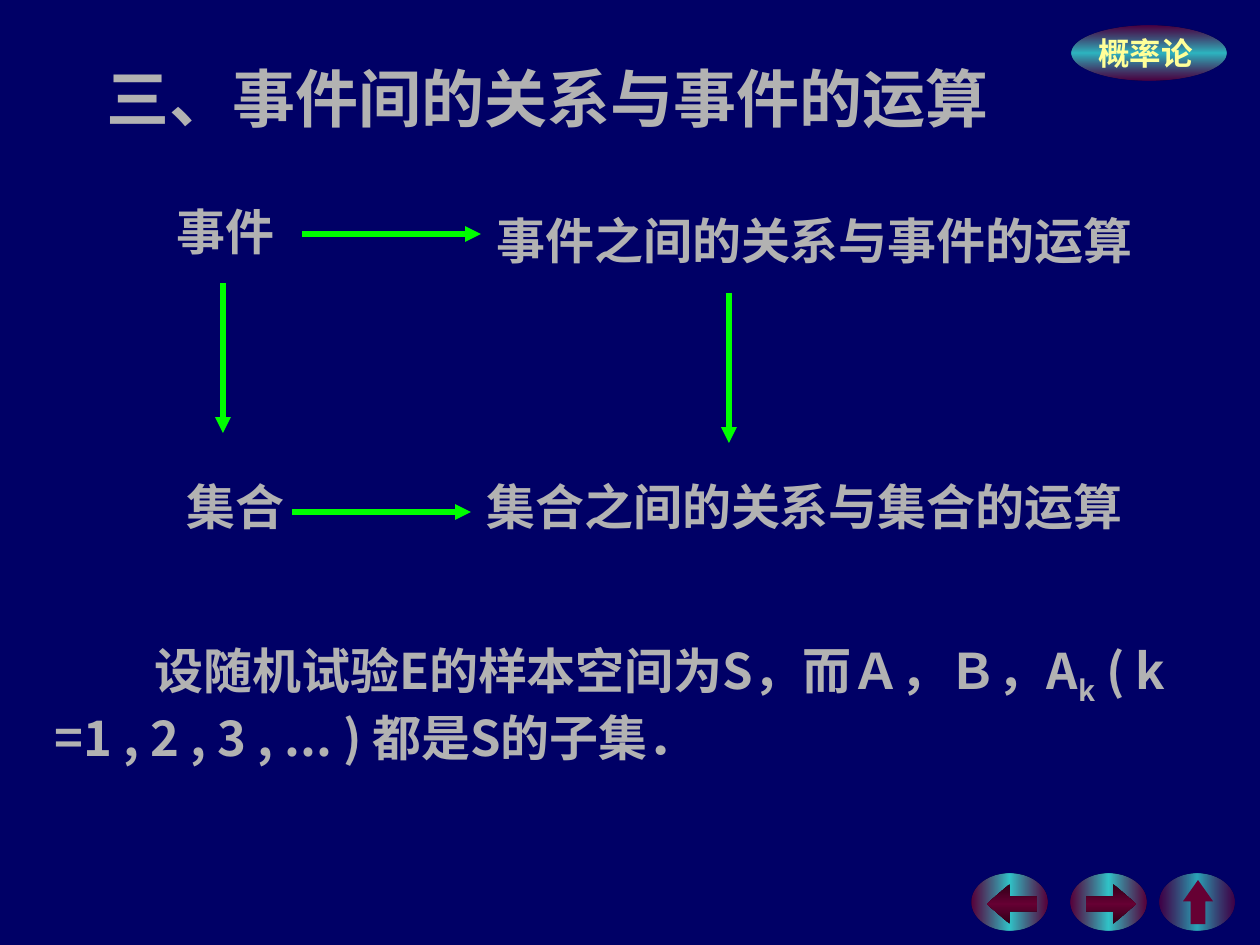
from pptx import Presentation
from pptx.dml.color import RGBColor
from pptx.enum.shapes import MSO_CONNECTOR, MSO_SHAPE
from pptx.enum.text import MSO_ANCHOR, MSO_AUTO_SIZE, PP_ALIGN
from pptx.oxml import parse_xml
from pptx.oxml.ns import nsdecls, qn
from pptx.util import Emu, Pt

SERIF, SANS = "Times New Roman", "Noto Sans CJK SC"
NAVY, GREY, YELLOW, GREEN = "000066", "B2B2B2", "FFFF99", "00FF00"
WINE, DARK_WINE, TEAL = "660033", "2F0017", "33CCCC"


def px(n):
    return Emu(round(n * 914400 / 126))


def color(value):
    return RGBColor.from_string(value)


def add_text(p, text, size=28, font=SERIF, fill=GREY, baseline=0):
    p.line_spacing = Pt(size * 1.2)
    r = p.add_run()
    r.text = text
    r.font.size, r.font.bold, r.font.name = Pt(size), True, font
    r.font.color.rgb = color(fill)
    r.font._element.find(qn("a:latin")).addnext(
        parse_xml(f'<a:ea {nsdecls("a")} typeface="{SANS}"/>'))
    if baseline:
        r.font._element.set("baseline", str(baseline * 1000))


def add_box(s, box, wrap=False, anchor=MSO_ANCHOR.TOP):
    tf = s.shapes.add_textbox(*map(px, box)).text_frame
    tf.word_wrap, tf.vertical_anchor = wrap, anchor
    if not wrap:
        tf.auto_size = MSO_AUTO_SIZE.SHAPE_TO_FIT_TEXT
    return tf.paragraphs[0]


def add_shape(s, kind, box, adjustments=()):
    sp = s.shapes.add_shape(kind, *map(px, box))
    sp.shadow.inherit = False
    sp.line.fill.background()
    for i, value in enumerate(adjustments):
        sp.adjustments[i] = value
    return sp


def set_gradient(sp, edge, middle, angle, edge_alpha=100, middle_alpha=100):
    """Symmetric gradient: edge colour, middle colour, edge colour."""
    stops = "".join(
        f'<a:gs pos="{pos}000"><a:srgbClr val="{c}"><a:alpha val="{alpha}000"/></a:srgbClr></a:gs>'
        for pos, c, alpha in ((0, edge, edge_alpha), (50, middle, middle_alpha),
                              (100, edge, edge_alpha)))
    sp._element.spPr.find(qn("a:prstGeom")).addnext(parse_xml(
        f'<a:gradFill {nsdecls("a")} rotWithShape="1"><a:gsLst>{stops}</a:gsLst>'
        f'<a:lin ang="{angle * 60000}" scaled="0"/></a:gradFill>'))


def add_arrow(s, x1, y1, x2, y2):
    c = s.shapes.add_connector(MSO_CONNECTOR.STRAIGHT, *map(px, (x1, y1, x2, y2)))
    c.line.color.rgb, c.line.width = color(GREEN), Pt(3)
    c.line._get_or_add_ln().append(
        parse_xml(f'<a:tailEnd {nsdecls("a")} type="triangle"/>'))
    c._element.spPr.append(parse_xml(f'<a:effectLst {nsdecls("a")}/>'))


def add_button(s, x, kind, box, adjustments, alphas):
    oval = add_shape(s, MSO_SHAPE.OVAL, (x, 874, 75, 56))
    set_gradient(oval, WINE, TEAL, 0, *alphas)
    return add_shape(s, kind, box, adjustments)


def main():
    prs = Presentation()
    prs.slide_width, prs.slide_height = px(1260), px(945)
    s = prs.slides.add_slide(prs.slide_layouts[5])
    s.background.fill.solid()
    s.background.fill.fore_color.rgb = color(NAVY)

    # Course badge
    badge = add_shape(s, MSO_SHAPE.OVAL, (1072, 26, 154, 54))
    set_gradient(badge, WINE, TEAL, 90, 73, 89)
    tf = badge.text_frame
    tf.word_wrap, tf.vertical_anchor = False, MSO_ANCHOR.MIDDLE
    tf.paragraphs[0].alignment = PP_ALIGN.CENTER
    add_text(tf.paragraphs[0], "概率论 ", size=18, fill=YELLOW)

    # Navigation buttons: back, forward, up
    for x, kind in ((972, MSO_SHAPE.LEFT_ARROW), (1071, MSO_SHAPE.RIGHT_ARROW)):
        arrow = add_button(s, x, kind, (x + 15, 884, 50, 40), (0.36, 0.57), (86, 96))
        set_gradient(arrow, DARK_WINE, WINE, 90)
    up = add_button(s, 1160, MSO_SHAPE.UP_ARROW, (1183, 880, 30, 44), (0.5, 0.71), (62, 81))
    up.fill.solid()
    up.fill.fore_color.rgb = color(WINE)

    # Title
    title = s.shapes.title
    title.left, title.top, title.width, title.height = map(px, (94, 53, 960, 88))
    tf = title.text_frame
    tf.word_wrap, tf.vertical_anchor = True, MSO_ANCHOR.MIDDLE
    tf.paragraphs[0].alignment = PP_ALIGN.LEFT
    add_text(tf.paragraphs[0], "三、事件间的关系与事件的运算", size=36)

    # Diagram: events correspond to sets
    for text, box in (("事件", (164, 195, 124, 72)),
                      ("事件之间的关系与事件的运算", (484, 204, 664, 72)),
                      ("集合", (174, 470, 124, 72)),
                      ("集合之间的关系与集合的运算", (474, 470, 664, 72))):
        add_text(add_box(s, box), text)
    for ends in ((223, 283, 223, 433), (729, 293, 729, 443),
                 (302, 234, 481, 234), (292, 512, 471, 512)):
        add_arrow(s, *ends)

    # Statement with an indented first line
    p = add_box(s, (42, 634, 1170, 146), wrap=True, anchor=MSO_ANCHOR.MIDDLE)
    p._p.get_or_add_pPr().set("indent", str(px(100)))
    add_text(p, "设随机试验E的样本空间为S，而Ａ，Ｂ，A", font=SANS)
    add_text(p, "k", font=SANS, baseline=-25)
    add_text(p, " ( k =1 , 2 , 3 , ... ) 都是S的子集．", font=SANS)

    prs.save("out.pptx")


if __name__ == "__main__":
    main()
